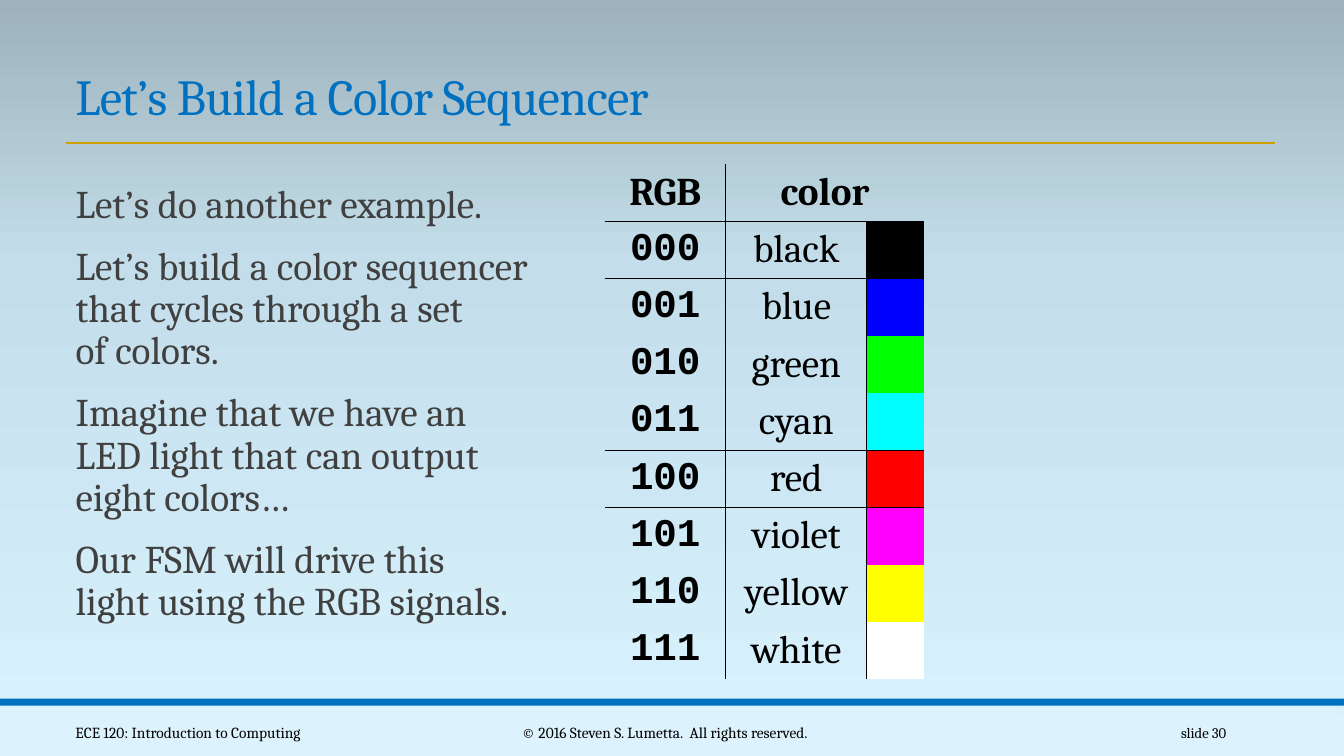
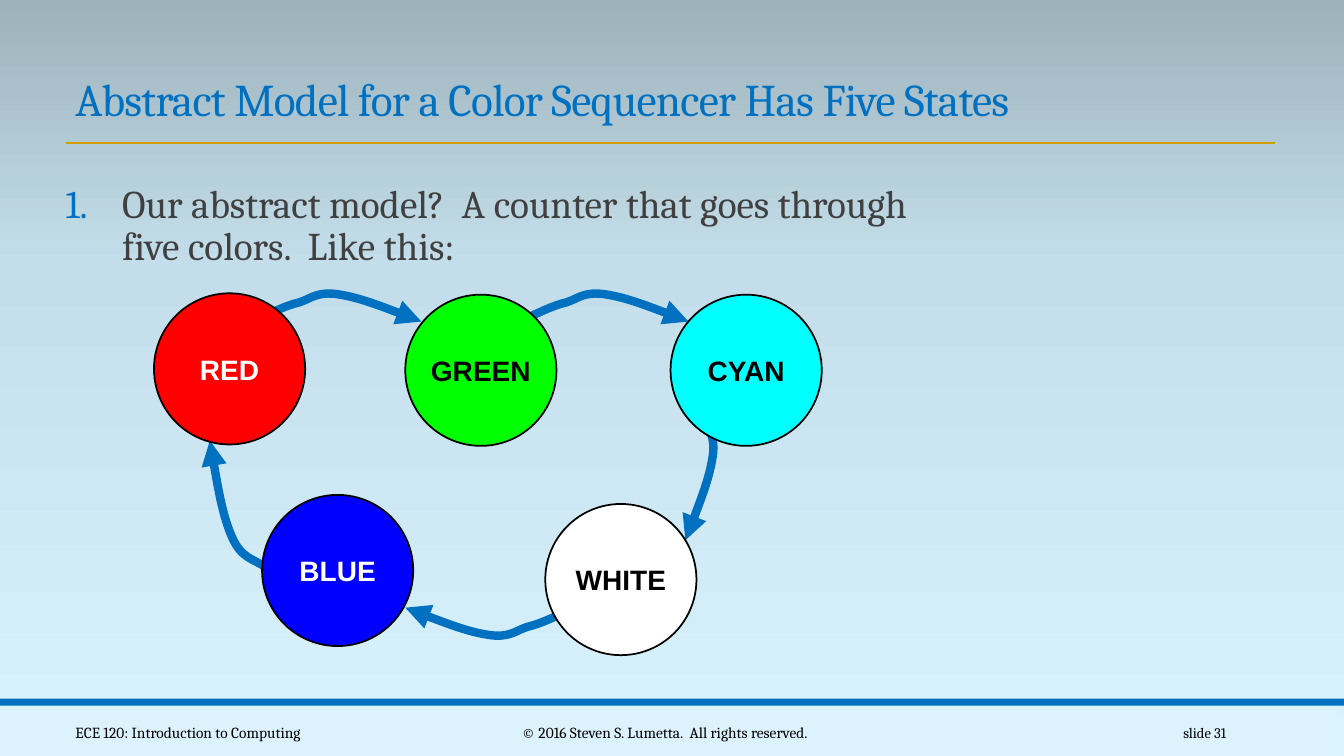
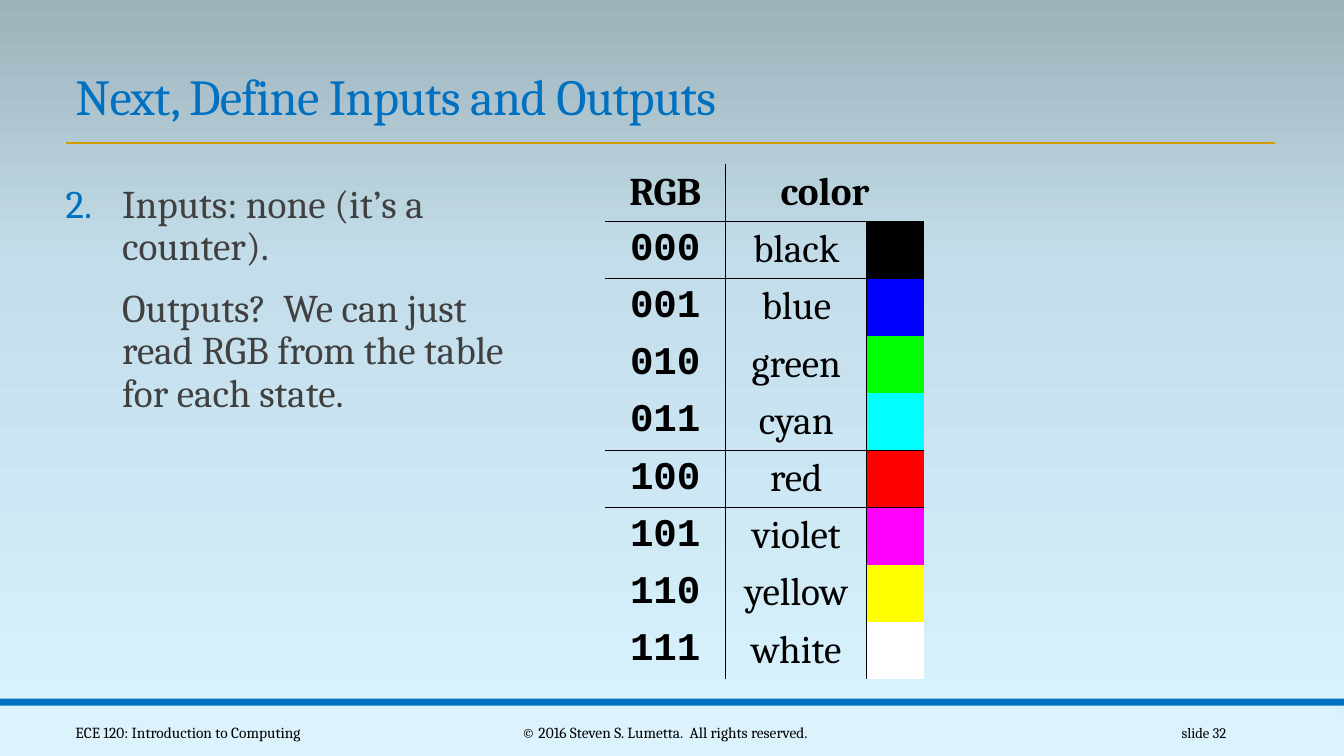
from copy import deepcopy
from math import cos, radians, sin

from lxml.etree import SubElement
from pptx import Presentation
from pptx.dml.color import RGBColor
from pptx.enum.shapes import MSO_CONNECTOR, MSO_SHAPE
from pptx.enum.text import MSO_ANCHOR, PP_ALIGN
from pptx.oxml.ns import qn
from pptx.util import Pt

ACCENT = RGBColor(0x00, 0x70, 0xC0)
GOLD = RGBColor(0xD0, 0x9E, 0x00)
FOOTER_FILL = RGBColor(0xDC, 0xF3, 0xFD)
BODY_TEXT = RGBColor(0x40, 0x40, 0x40)
BLACK = RGBColor(0x00, 0x00, 0x00)
BLUE = RGBColor(0x00, 0x00, 0xFF)
GREEN = RGBColor(0x00, 0xFF, 0x00)
CYAN = RGBColor(0x00, 0xFF, 0xFF)
RED = RGBColor(0xFF, 0x00, 0x00)
VIOLET = RGBColor(0xFF, 0x00, 0xFF)
YELLOW = RGBColor(0xFF, 0xFF, 0x00)
WHITE = RGBColor(0xFF, 0xFF, 0xFF)
BACKGROUND_STOPS = [
    (0, RGBColor(0xDA, 0xF4, 0xFF)),
    (0.65, RGBColor(0xC3, 0xDE, 0xEA)),
    (1, RGBColor(0x9D, 0xB2, 0xBA)),
]
LED_COLORS = [
    ("black", BLACK), ("blue", BLUE), ("green", GREEN), ("cyan", CYAN),
    ("red", RED), ("violet", VIOLET), ("yellow", YELLOW), ("white", WHITE),
]
SERIF, SANS, MONO = "Cambria", "Arial", "Courier New"
NO_TABLE_STYLE = "{2D5ABB26-0587-4C30-8999-92F81FD0307C}"
MARGIN = 46.8
BODY_INDENT, NUMBER_INDENT = 7.2, 40.5
CIRCLE_SIZE = 108
ARROW_CURVE = [
    (0, 0), (9.4, -4.3), (18, -8.6), (27.4, -10.8), (36, -13.7), (40.3, -18.7),
    (54.7, -16.6), (69.1, -14.4), (92.2, -5.8), (114.5, 2.9),
]


class Deck:
    """Builds slides in the lecture style, one element at a time."""

    def __init__(self):
        self.presentation = Presentation()
        self.presentation.slide_width = Pt(960)
        self.presentation.slide_height = Pt(540)
        master = self.presentation.slide_master
        fill = master.background.fill
        fill.gradient()
        fill.gradient_angle = 90
        stop_list = master.element.find(".//" + qn("a:gsLst"))
        stop_list.append(deepcopy(stop_list[0]))
        for stop, (position, color) in zip(fill.gradient_stops, BACKGROUND_STOPS):
            stop.position = position
            stop.color.rgb = color

    def new_slide(self, title, number, title_size=36):
        layout = self.presentation.slide_layouts[6]
        self.slide = self.presentation.slides.add_slide(layout)
        self.band(-4.5, 504, 36, FOOTER_FILL)
        self.band(0, 499, 5, ACCENT)
        self.rule(MARGIN, 911, 102.2)
        frame = self.text_box(MARGIN, 42.5, 864.5, 51, MSO_ANCHOR.BOTTOM)
        paragraph = frame.paragraphs[0]
        paragraph.line_spacing = 0.85
        self.set_text(paragraph, title, title_size, ACCENT)
        paragraph.font._element.set("spc", "-50")
        footers = [
            (MARGIN, 234, "ECE 120: Introduction to Computing", 11, PP_ALIGN.LEFT),
            (290, 370, "© 2016 Steven S. Lumetta.  All rights reserved.", 11, PP_ALIGN.CENTER),
            (780, 103, f"slide {number}", 10.5, PP_ALIGN.RIGHT),
        ]
        for left, width, text, size, alignment in footers:
            frame = self.text_box(left, 508.5, width, 29, MSO_ANCHOR.MIDDLE)
            self.set_text(frame.paragraphs[0], text, size, BLACK, alignment=alignment)

    def set_text(self, paragraph, text, size, color, font=SERIF, bold=False,
                 alignment=PP_ALIGN.LEFT):
        paragraph.text = text
        paragraph.alignment = alignment
        paragraph.font.name = font
        paragraph.font.size = Pt(size)
        paragraph.font.bold = bold
        paragraph.font.color.rgb = color

    def band(self, left, top, height, color):
        shape = self.slide.shapes.add_shape(
            MSO_SHAPE.RECTANGLE, Pt(left), Pt(top), Pt(960), Pt(height))
        shape.shadow.inherit = False
        shape.fill.solid()
        shape.fill.fore_color.rgb = color
        shape.line.fill.background()

    def rule(self, left, right, top):
        connector = self.slide.shapes.add_connector(
            MSO_CONNECTOR.STRAIGHT, Pt(left), Pt(top), Pt(right), Pt(top))
        connector.line.color.rgb = GOLD
        connector.line.width = Pt(2)
        SubElement(connector.element.spPr, qn("a:effectLst"))

    def text_box(self, left, top, width, height, anchor):
        box = self.slide.shapes.add_textbox(Pt(left), Pt(top), Pt(width), Pt(height))
        frame = box.text_frame
        frame.word_wrap = True
        frame.vertical_anchor = anchor
        return frame

    def body(self, texts, indent=BODY_INDENT, number=None):
        frame = self.text_box(MARGIN, 128.2, 613.5, 334, MSO_ANCHOR.TOP)
        frame.margin_left = frame.margin_right = 0
        for index, text in enumerate(texts):
            paragraph = frame.add_paragraph() if index else frame.paragraphs[0]
            paragraph.line_spacing = 0.9
            paragraph.space_before = Pt(12)
            paragraph.space_after = Pt(2)
            properties = paragraph._p.get_or_add_pPr()
            properties.set("marL", str(Pt(indent)))
            properties.set("indent", "0")
            if number and index == 0:
                properties.set("indent", str(-Pt(indent)))
                bullet_color = SubElement(properties, qn("a:buClr"))
                SubElement(bullet_color, qn("a:srgbClr"), val=str(ACCENT))
                SubElement(properties, qn("a:buAutoNum"), type="arabicPeriod", startAt=str(number))
            self.set_text(paragraph, text, 28, BODY_TEXT)

    def border(self, cell, *sides):
        properties = cell._tc.get_or_add_tcPr()
        for side in sides:
            line = SubElement(properties, qn(f"a:ln{side}"), w=str(Pt(1)))
            fill = SubElement(line, qn("a:solidFill"))
            SubElement(fill, qn("a:srgbClr"), val=str(BLACK))

    def color_table(self):
        widths, row_height = (86.4, 100.8, 41), 39.4
        row_count = len(LED_COLORS) + 1
        table = self.slide.shapes.add_table(
            row_count, len(widths), Pt(432), Pt(117.3),
            Pt(sum(widths)), Pt(row_height * row_count)).table
        table.first_row = table.horz_banding = False
        table._tbl.tblPr.find(qn("a:tableStyleId")).text = NO_TABLE_STYLE
        for column, width in zip(table.columns, widths):
            column.width = Pt(width)
        for row_index, row in enumerate(table.rows):
            row.height = Pt(row_height)
            for column_index, cell in enumerate(row.cells):
                sides = [["R"], ["L"], []][column_index]
                if row_index in (1, 5):
                    sides.append("T")
                if row_index in (0, 4):
                    sides.append("B")
                self.border(cell, *sides)
                cell.fill.background()
                cell.vertical_anchor = MSO_ANCHOR.MIDDLE
        table.cell(0, 1).merge(table.cell(0, 2))
        self.cell_text(table.cell(0, 0), "RGB", bold=True)
        self.cell_text(table.cell(0, 1), "color", bold=True)
        for value, (name, color) in enumerate(LED_COLORS):
            code, label, swatch = table.rows[value + 1].cells
            self.cell_text(code, f"{value:03b}", MONO, bold=True)
            self.cell_text(label, name)
            swatch.fill.solid()
            swatch.fill.fore_color.rgb = color

    def cell_text(self, cell, text, font=SERIF, bold=False):
        paragraph = cell.text_frame.paragraphs[0]
        self.set_text(paragraph, text, 28, BLACK, font, bold, PP_ALIGN.CENTER)

    def state(self, left, top, name, color, text_color):
        shape = self.slide.shapes.add_shape(
            MSO_SHAPE.OVAL, Pt(left), Pt(top), Pt(CIRCLE_SIZE), Pt(CIRCLE_SIZE))
        shape.shadow.inherit = False
        shape.fill.solid()
        shape.fill.fore_color.rgb = color
        shape.line.color.rgb = BLACK
        shape.line.width = Pt(1.25)
        frame = shape.text_frame
        frame.word_wrap = False
        frame.vertical_anchor = MSO_ANCHOR.MIDDLE
        frame.margin_left = frame.margin_right = frame.margin_top = frame.margin_bottom = 0
        self.set_text(frame.paragraphs[0], name, 20, text_color, SANS, True, PP_ALIGN.CENTER)

    def arrow(self, left, top, angle=0, stretch=1, bulge=1):
        cosine, sine = cos(radians(angle)), sin(radians(angle))
        points = [
            (Pt(left + x * stretch * cosine - y * bulge * sine),
             Pt(top + x * stretch * sine + y * bulge * cosine))
            for x, y in ARROW_CURVE
        ]
        builder = self.slide.shapes.build_freeform(*points[0])
        builder.add_line_segments(points[1:], close=False)
        shape = builder.convert_to_shape()
        outline = shape.element.find(".//" + qn("a:path"))
        for index, segment in enumerate(outline.findall(qn("a:lnTo"))):
            if index % 3 == 0:
                curve = SubElement(outline, qn("a:cubicBezTo"))
            curve.append(segment[0])
            outline.remove(segment)
        shape.shadow.inherit = False
        shape.fill.background()
        shape.line.color.rgb = ACCENT
        shape.line.width = Pt(6)
        SubElement(shape.element.spPr.find(qn("a:ln")), qn("a:tailEnd"), type="triangle")


def main():
    deck = Deck()

    deck.new_slide("Let’s Build a Color Sequencer", 30)
    deck.body([
        "Let’s do another example.",
        "Let’s build a color sequencer\nthat cycles through a set\nof colors.",
        "Imagine that we have an\nLED light that can output\neight colors…",
        "Our FSM will drive this\nlight using the RGB signals.",
    ])
    deck.color_table()

    deck.new_slide("Abstract Model for a Color Sequencer Has Five States", 31, 32.4)
    deck.body(
        ["Our abstract model?  A counter that goes through five colors.  Like this:"],
        NUMBER_INDENT, 1)
    deck.arrow(186.5, 226.8)
    deck.arrow(377.3, 226.8)
    deck.arrow(492.5, 271.4, 90)
    deck.arrow(404, 437, 180)
    deck.arrow(218.2, 422, 235.8, 1.11, 1.32)
    deck.state(110, 209.5, "RED", RED, WHITE)
    deck.state(289.5, 210.5, "GREEN", GREEN, BLACK)
    deck.state(479, 210.5, "CYAN", CYAN, BLACK)
    deck.state(389.5, 360, "WHITE", WHITE, BLACK)
    deck.state(187.2, 353.5, "BLUE", BLUE, WHITE)

    deck.new_slide("Next, Define Inputs and Outputs", 32)
    deck.body([
        "Inputs: none (it’s a\ncounter).",
        "Outputs?  We can just\nread RGB from the table\nfor each state.",
    ], NUMBER_INDENT, 2)
    deck.color_table()

    deck.presentation.save("out.pptx")


if __name__ == "__main__":
    main()
